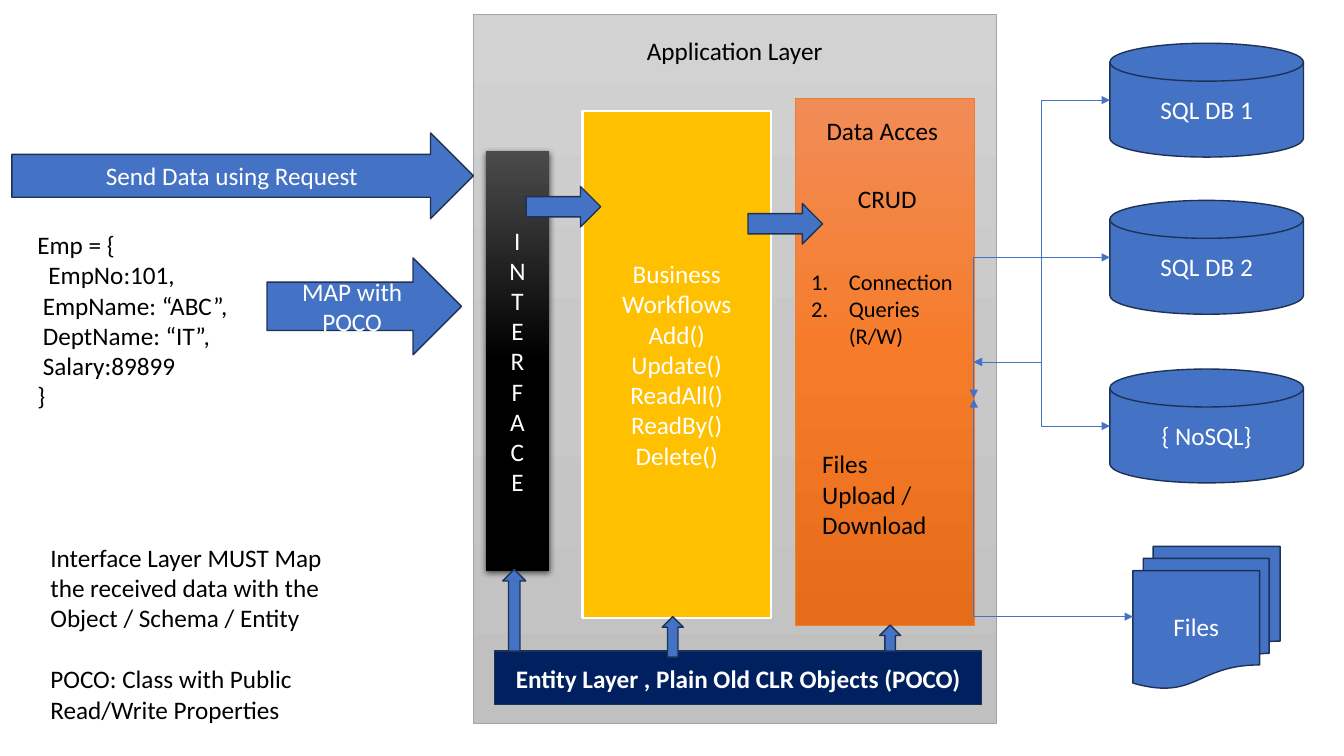
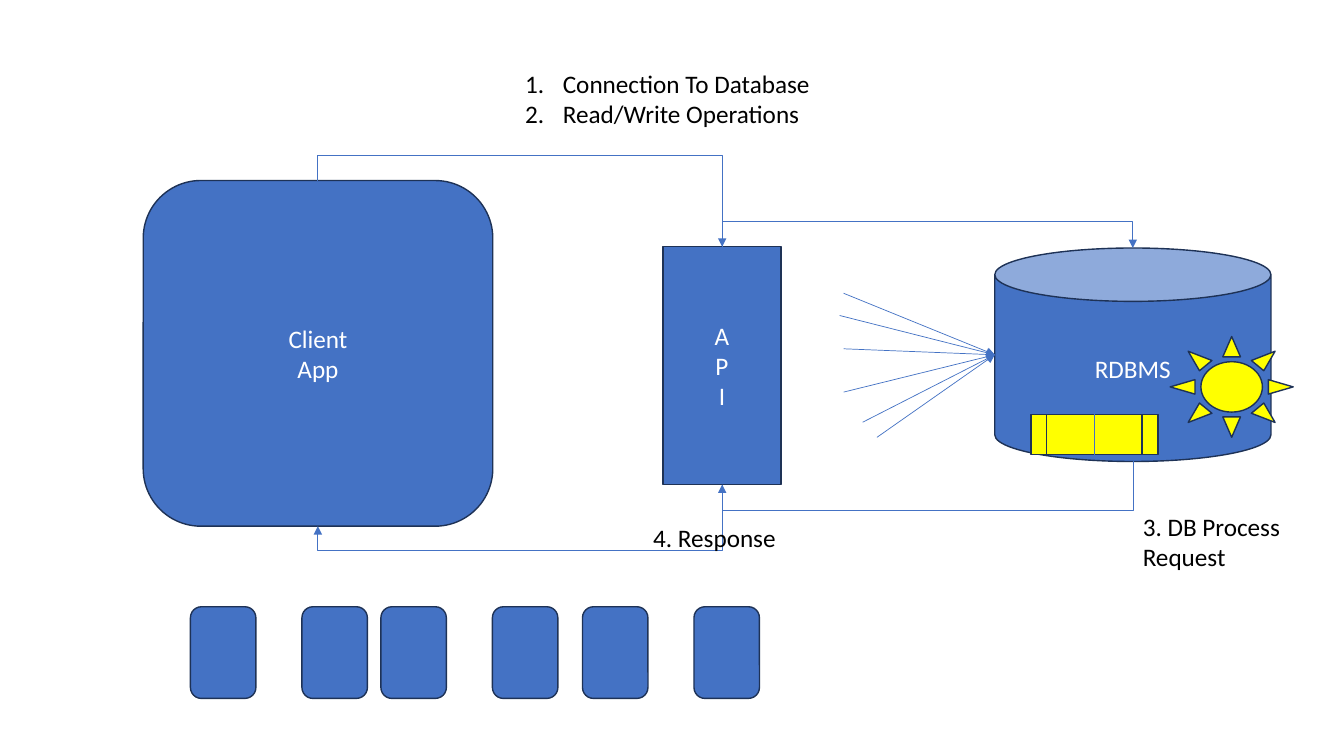
from copy import deepcopy
from dataclasses import dataclass

from lxml import etree
from pptx import Presentation
from pptx import util as u
from pptx.dml.color import RGBColor
from pptx.enum import shapes, text
from pptx.oxml.ns import qn


@dataclass(frozen=True)
class Theme:
    font: str = "Calibri"
    size: int = 18
    list_size: int = 16
    blue: str = "4472C4"
    outline: str = "1E3256"
    white: str = "FFFFFF"
    black: str = "000000"
    gold: str = "FFC000"
    navy: str = "002060"
    yellow: str = "FFFF00"
    grey: str = "A5A5A5"
    orange: str = "ED7D31"
    grey_fade: tuple = ("D2D2D2", "C8C8C8", "C0C0C0")
    orange_fade: tuple = ("F18C57", "F67B28", "E56C19")
    black_fade: tuple = ("4B4B4B", "000000", "000000")


theme = Theme()
kinds = shapes.MSO_SHAPE


def block(slide, kind, box, words="", *, fill=theme.blue, outline=theme.outline,
          weight=1, size=theme.size, bold=False, centred=None, numbered=False):
    """Place a preset shape, a placeholder or (kind None) a text box, with its text."""
    left, top, width, height = map(u.Cm, box)
    drawn = isinstance(kind, kinds)
    if drawn:
        shape = slide.shapes.add_shape(kind, left, top, width, height)
        shape.shadow.inherit = False
        if isinstance(fill, tuple):
            shape.fill.gradient()
            shape.fill.gradient_angle = 270
            stops = shape._element.spPr.find(".//" + qn("a:gsLst"))
            stops.insert(1, deepcopy(stops[0]))
            for stop, position, colour in zip(shape.fill.gradient_stops, (0, 0.5, 1), fill):
                stop.position = position
                stop.color.rgb = RGBColor.from_string(colour)
        else:
            shape.fill.solid()
            shape.fill.fore_color.rgb = RGBColor.from_string(fill)
        if outline:
            shape.line.color.rgb = RGBColor.from_string(outline)
            shape.line.width = u.Pt(weight)
        else:
            shape.line.fill.background()
    elif kind is None:
        shape = slide.shapes.add_textbox(left, top, width, height)
    else:
        shape = kind
        shape.left, shape.top, shape.width, shape.height = left, top, width, height
        slide.shapes._spTree.append(shape._element)
    if not words:
        return shape

    frame = shape.text_frame
    frame.text = words
    frame.word_wrap = True
    frame.auto_size = text.MSO_AUTO_SIZE.NONE
    frame.vertical_anchor = text.MSO_ANCHOR.MIDDLE if drawn else text.MSO_ANCHOR.TOP
    centred = drawn if centred is None else centred
    for paragraph in frame.paragraphs:
        paragraph.alignment = text.PP_ALIGN.CENTER if centred else text.PP_ALIGN.LEFT
        paragraph.space_before = u.Pt(0)
        if numbered:
            properties = paragraph._p.get_or_add_pPr()
            properties.set("marL", str(u.Cm(0.95)))
            properties.set("indent", str(-u.Cm(0.95)))
            etree.SubElement(properties, qn("a:buFont"), typeface="+mj-lt")
            etree.SubElement(properties, qn("a:buAutoNum"), type="arabicPeriod")
        for run in paragraph.runs:
            run.font.name, run.font.size, run.font.bold = theme.font, u.Pt(size), bold
            run.font.color.rgb = RGBColor.from_string(theme.white if drawn else theme.black)
    return shape


def connect(slide, start, end, route="straight", *, bend=None, heads=("tail",)):
    """Join two points straight, across (sideways first), or by a corner or around (upright first)."""
    (x1, y1), (x2, y2) = start, end
    turn = 0
    if route in ("corner", "around"):
        turn = 1 if x2 < x1 else -1
        run_x, run_y = turn * (y2 - y1), -turn * (x2 - x1)
        middle_x, middle_y = (x1 + x2) / 2, (y1 + y2) / 2
        start = middle_x - run_x / 2, middle_y - run_y / 2
        end = middle_x + run_x / 2, middle_y + run_y / 2
    kind = shapes.MSO_CONNECTOR.STRAIGHT if route == "straight" else shapes.MSO_CONNECTOR.ELBOW
    line = slide.shapes.add_connector(kind, *map(u.Cm, start + end))
    line.line.color.rgb = RGBColor.from_string(theme.blue)
    line.line.width = u.Pt(0.5)
    properties = line._element.spPr
    if turn:
        properties.find(qn("a:xfrm")).set("rot", str(turn % 4 * 90 * 60000))
    geometry = properties.find(qn("a:prstGeom"))
    if route == "corner":
        geometry.set("prst", "bentConnector2")
    if bend is not None:
        share = round((bend - y1) / (y2 - y1) * 100000)
        guides = geometry.find(qn("a:avLst"))
        if guides is None:
            guides = etree.SubElement(geometry, qn("a:avLst"))
        etree.SubElement(guides, qn("a:gd"), name="adj1", fmla=f"val {share}")
    for head in heads:
        etree.SubElement(properties.find(qn("a:ln")), qn(f"a:{head}End"), type="triangle")
    etree.SubElement(properties, qn("a:effectLst"))


deck = Presentation()
deck.slide_width, deck.slide_height = u.Cm(33.87), u.Cm(19.05)
title_and_content = deck.slide_layouts[1]

# Slide 1: layers of the application
layers = deck.slides.add_slide(title_and_content)
block(layers, kinds.RECTANGLE, (11.94, 0.36, 13.18, 17.86),
      fill=theme.grey_fade, outline=theme.grey, weight=0.5)

store_left, store_height = 27.97, 2.87
store_tops = {"SQL DB 1": 1.09, "SQL DB 2": 5.05, "{ NoSQL}": 9.3}
for store, top in store_tops.items():
    block(layers, kinds.FLOWCHART_MAGNETIC_DISK, (store_left, top, 4.88, store_height), store)
block(layers, kinds.FLOWCHART_MULTIDOCUMENT, (28.55, 13.77, 3.71, 3.58), "Files")
block(layers, layers.shapes.title, (12.47, 0.76, 12.09, 1.02), "Application Layer", centred=True)

block(layers, kinds.RECTANGLE, (20.04, 2.49, 4.52, 13.26),
      fill=theme.orange_fade, outline=theme.orange, weight=0.5)
block(layers, None, (20.47, 2.77, 3.53, 1.02), "Data Acces", centred=True)
block(layers, None, (20.47, 4.5, 3.78, 1.02), "CRUD", centred=True)
block(layers, layers.placeholders[1], (20.19, 6.63, 4.34, 2.31), "Connection\nQueries (R/W)",
      size=theme.list_size, numbered=True)

access_edge = 24.54
both = ("head", "tail")
for store, leave, route in (("SQL DB 1", 9.12, "across"), ("SQL DB 2", 10.03, "corner"),
                            ("{ NoSQL}", 9.12, "across")):
    connect(layers, (access_edge, leave), (store_left, store_tops[store] + store_height / 2),
            route, heads=both)
connect(layers, (access_edge, 10.06), (28.55, 15.54), "corner", heads=both)
block(layers, None, (20.47, 11.18, 3.53, 2.57), "Files Upload / Download")

block(layers, kinds.RIGHT_ARROW, (0.3, 3.35, 11.63, 2.16), "Send Data using Request")
interface = block(layers, kinds.RECTANGLE, (12.24, 3.81, 1.6, 10.57), "\n".join("INTERFACE"),
                  fill=theme.black_fade, outline=None)
shadow = etree.SubElement(interface._element.spPr.find(qn("a:effectLst")), qn("a:outerShdw"),
                          blurRad=str(u.Pt(4.5)), dist=str(u.Pt(1.5)), dir="5400000",
                          algn="ctr", rotWithShape="0")
shade = etree.SubElement(shadow, qn("a:srgbClr"), val=theme.black)
etree.SubElement(shade, qn("a:alpha"), val="63000")

block(layers, kinds.RECTANGLE, (14.68, 2.79, 4.75, 12.78),
      "Business Workflows\nAdd()\nUpdate()\nReadAll()\nReadBy()\nDelete()",
      fill=theme.gold, outline=theme.white, weight=1.5)
for left, top in ((13.26, 4.7), (18.85, 5.13)):
    block(layers, kinds.RIGHT_ARROW, (left, top, 1.88, 1.02))

employee = block(layers, None, (0.69, 5.66, 9.14, 4.88),
                 "Emp = {\nEmpNo:101,\nEmpName: “ABC”,\nDeptName: “IT”,\nSalary:89899\n}")
for field, indent in zip(employee.text_frame.paragraphs, (0, 0.28, 0.14, 0.14, 0.14, 0)):
    field._p.get_or_add_pPr().set("marL", str(u.Cm(indent)))
mapping_rule = block(layers, None, (1.02, 13.54, 7.85, 4.88),
                     "Interface Layer MUST Map the received data with the Object / Schema / Entity\n"
                     "POCO: Class with Public Read/Write Properties")
mapping_rule.text_frame.paragraphs[1].space_before = u.Pt(22)
block(layers, kinds.RIGHT_ARROW, (6.73, 6.5, 4.9, 2.44), "MAP with POCO")

block(layers, kinds.RECTANGLE, (12.47, 16.41, 12.27, 1.35),
      "Entity Layer , Plain Old CLR Objects (POCO)", fill=theme.navy, bold=True)
for entity_arrow in ((12.67, 14.35, 0.58, 2.06), (16.69, 15.54, 0.53, 1.02),
                     (22.17, 15.75, 0.53, 0.66)):
    block(layers, kinds.UP_ARROW, entity_arrow)

# Slide 2: a request from client to database and back
request = deck.slides.add_slide(title_and_content)
unused_title = request.shapes.title._element
unused_title.getparent().remove(unused_title)

client_x, api_x, database_x = 8.01, 18.2, 28.55
api_top, api_bottom = 6.22, 12.21
block(request, kinds.CAN, (25.07, 6.25, 6.96, 5.38), "RDBMS")
block(request, kinds.ROUNDED_RECTANGLE, (3.61, 4.55, 8.81, 8.71), "Client\nApp")
connect(request, (client_x, 4.55), (api_x, api_top), "around", bend=3.91)
block(request, request.placeholders[1], (12.98, 1.6, 11.58, 1.8),
      "Connection To Database\nRead/Write Operations", numbered=True)
block(request, kinds.SUN, (29.49, 8.48, 3.1, 2.54), fill=theme.yellow)
block(request, None, (28.55, 12.75, 4.47, 1.8), "3. DB Process Request")
connect(request, (api_x, api_bottom), (client_x, 13.26), "around", bend=13.87)
block(request, None, (16.21, 13.03, 8.56, 1.02), "4. Response")

for pair_left in (4.8, 9.6, 14.68):
    for offset in (0, 2.81):
        block(request, kinds.ROUNDED_RECTANGLE, (pair_left + offset, 15.29, 1.65, 2.31))
for caller in ((21.26, 7.39), (21.16, 7.95), (21.26, 8.79),
               (21.26, 9.88), (21.74, 10.64), (22.1, 11.02)):
    connect(request, caller, (25.07, 8.94))

block(request, kinds.RECTANGLE, (16.71, api_top, 2.97, api_bottom - api_top), "\n".join("API"))
connect(request, (api_x, api_top), (database_x, 6.25), "around", bend=5.59)
connect(request, (database_x, 11.63), (api_x, api_bottom), "around", bend=12.85)
block(request, kinds.FLOWCHART_PREDEFINED_PROCESS, (25.98, 10.44, 3.2, 1.02), fill=theme.yellow)
connect(request, (27.58, 10.44), (27.58, 11.46), heads=())

deck.save("out.pptx")
